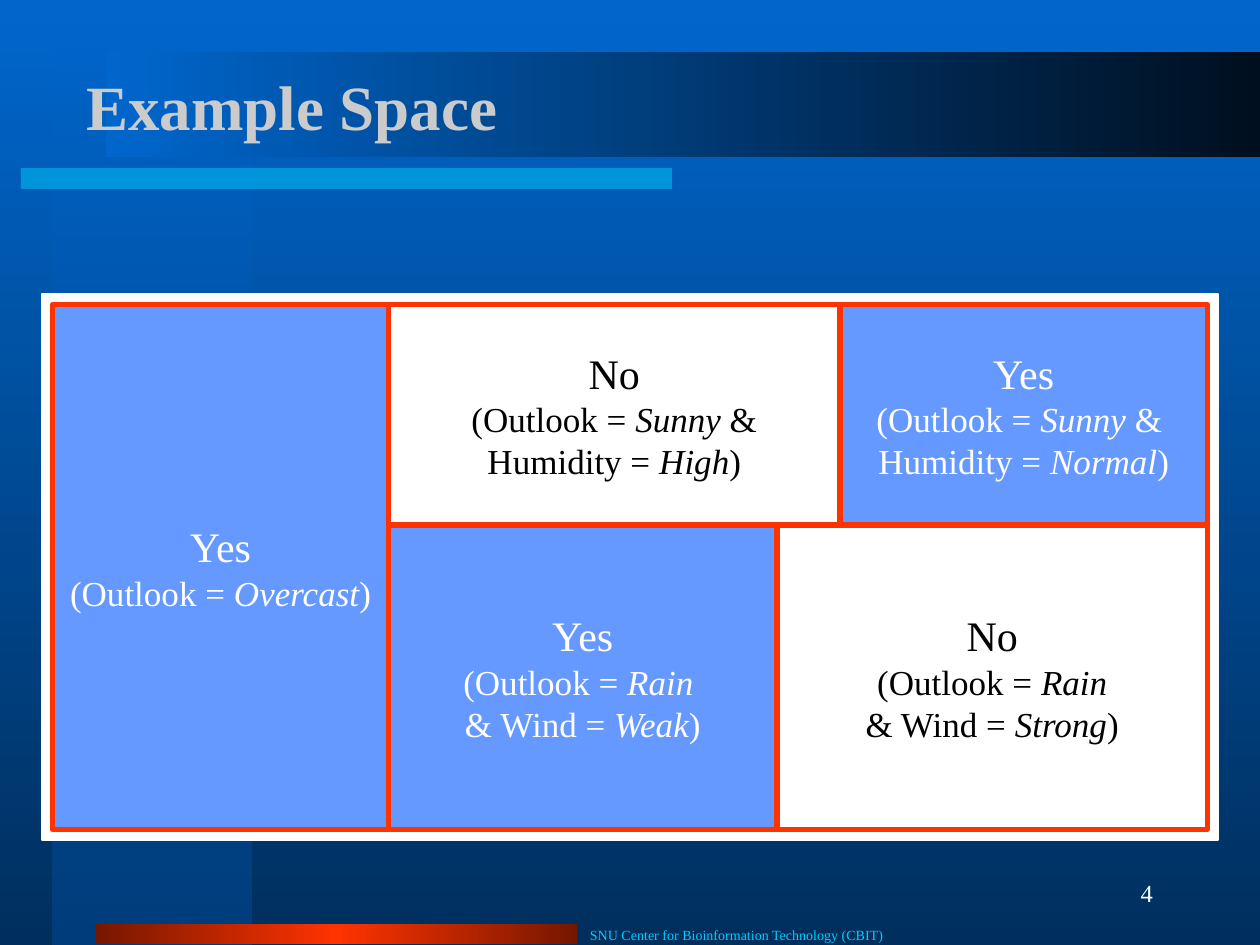
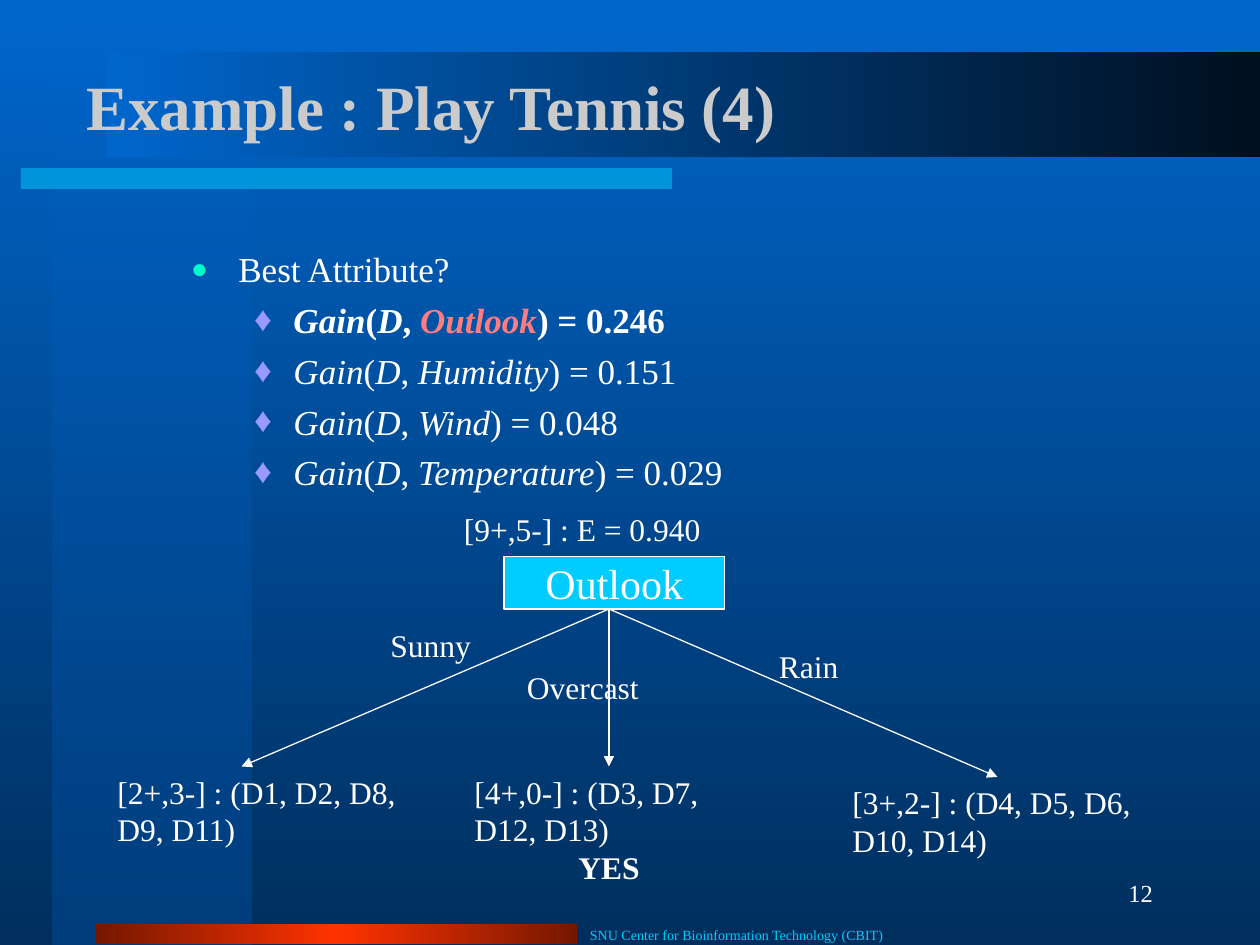
"""Build two decision-tree lecture slides that share one dark blue master."""
from lxml import etree
from pptx import Presentation
from pptx.dml.color import RGBColor
from pptx.enum import shapes, text
from pptx.oxml.ns import qn
from pptx.util import Pt

FONT = "Times New Roman"
WHITE = RGBColor(0xFF, 0xFF, 0xFF)
BLACK = RGBColor(0, 0, 0)
TITLE_GREY = RGBColor(0xCB, 0xCB, 0xCB)
SKY = RGBColor(0x00, 0x66, 0xCC)
DEEP = RGBColor(0x00, 0x2F, 0x5E)
COLUMN_END = RGBColor(0x00, 0x3E, 0x7D)
NIGHT = RGBColor(0x00, 0x0F, 0x1F)
CYAN = RGBColor(0x00, 0xCC, 0xFF)
RED = RGBColor(0xFF, 0x33, 0x00)
DARK_RED = RGBColor(0x75, 0x17, 0x00)
YES_BLUE = RGBColor(0x66, 0x99, 0xFF)
SALMON = RGBColor(0xFF, 0x7C, 0x80)
MINT = RGBColor(0x00, 0xFF, 0xCC)
LILAC = RGBColor(0x99, 0x99, 0xFF)

LEFT, CENTER, RIGHT = text.PP_ALIGN.LEFT, text.PP_ALIGN.CENTER, text.PP_ALIGN.RIGHT
TOP, MIDDLE = text.MSO_ANCHOR.TOP, text.MSO_ANCHOR.MIDDLE
CREDIT = "SNU Center for Bioinformation Technology (CBIT)"


def add_color(parent, color, alpha=100):
    """Append an RGB colour, with its opacity in percent, to an XML element."""
    node = etree.SubElement(parent, qn("a:srgbClr"), val=str(color))
    if alpha < 100:
        etree.SubElement(node, qn("a:alpha"), val=str(alpha * 1000))


def paint_gradient(fill, owner, angle, stops):
    """Fill with (position, colour, opacity) stops at a clockwise angle."""
    fill.gradient()
    fill.gradient_angle = 360 - angle
    stop_list = next(owner.iter(qn("a:gsLst")))
    for stop in list(stop_list):
        stop_list.remove(stop)
    for position, color, alpha in stops:
        stop = etree.SubElement(stop_list, qn("a:gs"), pos=str(position * 1000))
        add_color(stop, color, alpha)


def place(shape, area):
    """Move a shape to (left, top, width, height) in points."""
    shape.left, shape.top, shape.width, shape.height = map(Pt, area)


def add_box(page, area, fill=None, line=None, weight=1):
    """Add a flat rectangle."""
    box = page.shapes.add_shape(shapes.MSO_SHAPE.RECTANGLE, *map(Pt, area))
    box.shadow.inherit = False
    if fill is not None:
        box.fill.solid()
        box.fill.fore_color.rgb = fill
    if line is None:
        box.line.fill.background()
    else:
        box.line.color.rgb = line
        box.line.width = Pt(weight)
    return box


def add_spans(para, line, size, color=WHITE, bold=False, accents=None):
    """Add runs to a paragraph; parts between underscores are italic."""
    for index, part in enumerate(line.split("_")):
        if part:
            span = para.add_run()
            span.text = part
            span.font.name = FONT
            span.font.size = Pt(size)
            span.font.bold = bold
            span.font.italic = index % 2 == 1
            span.font.color.rgb = (accents or {}).get(part, color)


def fill_text(shape, lines, align=LEFT, anchor=TOP, wrap=True):
    """Write (line, size, colour, bold) paragraphs into a shape."""
    frame = shape.text_frame
    frame.word_wrap = wrap
    frame.auto_size = text.MSO_AUTO_SIZE.NONE
    frame.vertical_anchor = anchor
    for index, line in enumerate(lines):
        para = frame.add_paragraph() if index else frame.paragraphs[0]
        para.alignment = align
        add_spans(para, *line)
    return frame


def add_label(page, area, line, size=18, color=WHITE, align=LEFT, anchor=TOP):
    """Add a text box with one paragraph."""
    box = page.shapes.add_textbox(*map(Pt, area))
    return fill_text(box, [(line, size, color)], align, anchor)


def add_arrow(page, start, end):
    """Add a thin white line with a triangle at its end."""
    arrow = page.shapes.add_connector(
        shapes.MSO_CONNECTOR.STRAIGHT, *map(Pt, start + end))
    arrow.line.color.rgb = WHITE
    arrow.line.width = Pt(0.75)
    etree.SubElement(arrow.line._get_or_add_ln(), qn("a:tailEnd"), type="triangle")
    etree.SubElement(arrow._element.spPr, qn("a:effectLst"))


def add_bullet(para, mark, color, percent, margin, hanging):
    """Give a paragraph a coloured bullet and a hanging indent."""
    props = para._p.get_or_add_pPr()
    props.set("marL", str(Pt(margin)))
    props.set("indent", str(-Pt(hanging)))
    add_color(etree.SubElement(props, qn("a:buClr")), color)
    etree.SubElement(props, qn("a:buSzPct"), val=str(percent * 1000))
    etree.SubElement(props, qn("a:buFont"), typeface=FONT)
    etree.SubElement(props, qn("a:buChar"), char=mark)


def decorate_master(deck, page):
    """Paint the background and move the shared bands to the master."""
    master = deck.slide_master
    paint_gradient(master.background.fill, master._element, 90,
                   [(0, SKY, 100), (100, DEEP, 100)])
    column = add_box(page, (30, 0, 114, 540))
    paint_gradient(column.fill, column._element, 90,
                   [(0, SKY, 50), (100, COLUMN_END, 100)])
    underline = add_box(page, (12, 96, 372, 12), CYAN)
    color = next(underline._element.spPr.iter(qn("a:srgbClr")))
    etree.SubElement(color, qn("a:alpha"), val="50000")
    footer = add_box(page, (54, 528, 276, 11.5))
    paint_gradient(footer.fill, footer._element, 180,
                   [(0, DARK_RED, 100), (50, RED, 100), (100, DARK_RED, 100)])
    title_band = add_box(page, (60.5, 30, 659.5, 60))
    paint_gradient(title_band.fill, title_band._element, 180,
                   [(0, NIGHT, 100), (100, SKY, 100)])
    for index, band in enumerate((column, underline, footer, title_band)):
        master.shapes._spTree.insert(2 + index, band._element)


def add_page(deck, layout, title, number):
    """Add a slide with its title, credit line and page number."""
    page = deck.slides.add_slide(deck.slide_layouts[layout])
    place(page.shapes.title, (42, 18, 642, 84))
    fill_text(page.shapes.title, [(title, 36, TITLE_GREY, True)], anchor=MIDDLE)
    add_label(page, (330, 528, 228, 12), CREDIT, 8, CYAN, anchor=MIDDLE)
    add_label(page, (516, 492, 150, 36), number, 14, align=RIGHT, anchor=MIDDLE)
    return page


def add_region(page, area, answer, conditions):
    """Add one region of the example space."""
    fill, color = (YES_BLUE, WHITE) if answer == "Yes" else (WHITE, BLACK)
    region = add_box(page, area, fill, RED, 3)
    lines = [(answer, 24, color)] + [(line, 20, color) for line in conditions]
    fill_text(region, lines, CENTER, MIDDLE, wrap=False)


def draw_example_space(page):
    """Split the example space into its five regions."""
    left, rain_split, sunny_split, right = 222, 444, 480, 690
    top, middle, bottom = 174, 300, 474
    add_box(page, (24, 168, 672, 312), WHITE, WHITE)
    regions = [
        (30, top, left, bottom, "Yes", ["(Outlook = _Overcast_)"]),
        (left, top, sunny_split, middle, "No",
         ["(Outlook = _Sunny_ &", "Humidity = _High_)"]),
        (sunny_split, top, right, middle, "Yes",
         ["(Outlook = _Sunny_ & ", "Humidity = _Normal_)"]),
        (left, middle, rain_split, bottom, "Yes",
         ["(Outlook = _Rain _", "& Wind = _Weak_)"]),
        (rain_split, middle, right, bottom, "No",
         ["(Outlook = _Rain_", "& Wind = _Strong_)"]),
    ]
    for x1, y1, x2, y2, answer, conditions in regions:
        add_region(page, (x1, y1, x2 - x1, y2 - y1), answer, conditions)


def fill_gains(body):
    """List the information gain of each attribute."""
    place(body, (102, 138, 372, 150))
    frame = fill_text(body, [("Best Attribute?", 20)])
    first = frame.paragraphs[0]
    add_bullet(first, "●", MINT, 80, 27, 27)
    first.space_before = Pt(0)
    gains = [("Outlook", "0.246"), ("Humidity", "0.151"),
             ("Wind", "0.048"), ("Temperature", "0.029")]
    for attribute, gain in gains:
        best = attribute == "Outlook"
        para = frame.add_paragraph()
        para.level = 1
        add_bullet(para, "♦", LILAC, 100, 58.5, 22.5)
        para.space_before = Pt(5)
        add_spans(para, f"_Gain_(_D_, _{attribute}_) = {gain}", 20, bold=best,
                  accents={"Outlook": SALMON})


def draw_tree(page):
    """Draw the Outlook node, its branches and its leaves."""
    add_label(page, (258, 288, 174, 29), "[9+,5-] : E = 0.940")
    node = add_box(page, (288, 318, 126, 30), CYAN, WHITE, 0.75)
    fill_text(node, [("Outlook", 24)], CENTER, MIDDLE, wrap=False)
    for end in ((138, 438), (348, 438), (570, 444)):
        add_arrow(page, (348, 348), end)
    add_label(page, (216, 354, 72, 29), "Sunny")
    add_label(page, (294, 378, 84, 29), "Overcast")
    add_label(page, (438, 366, 72, 29), "Rain")
    add_label(page, (60, 438, 174, 50), "[2+,3-] : (D1, D2, D8, D9, D11)")
    add_label(page, (480, 444, 174, 50), "[3+,2-] : (D4, D5, D6, D10, D14)")
    leaf = add_label(page, (264, 438, 168, 72), "[4+,0-] : (D3, D7, D12, D13)")
    verdict = leaf.add_paragraph()
    verdict.alignment = CENTER
    add_spans(verdict, "YES", 18, bold=True)


def main():
    """Build and save the deck."""
    deck = Presentation()
    deck.slide_width, deck.slide_height = Pt(720), Pt(540)
    space_page = add_page(deck, 5, "Example Space", "4")
    decorate_master(deck, space_page)
    draw_example_space(space_page)
    tennis_page = add_page(deck, 1, "Example : Play Tennis (4)", "12")
    fill_gains(tennis_page.placeholders[1])
    draw_tree(tennis_page)
    deck.save("out.pptx")


if __name__ == "__main__":
    main()
